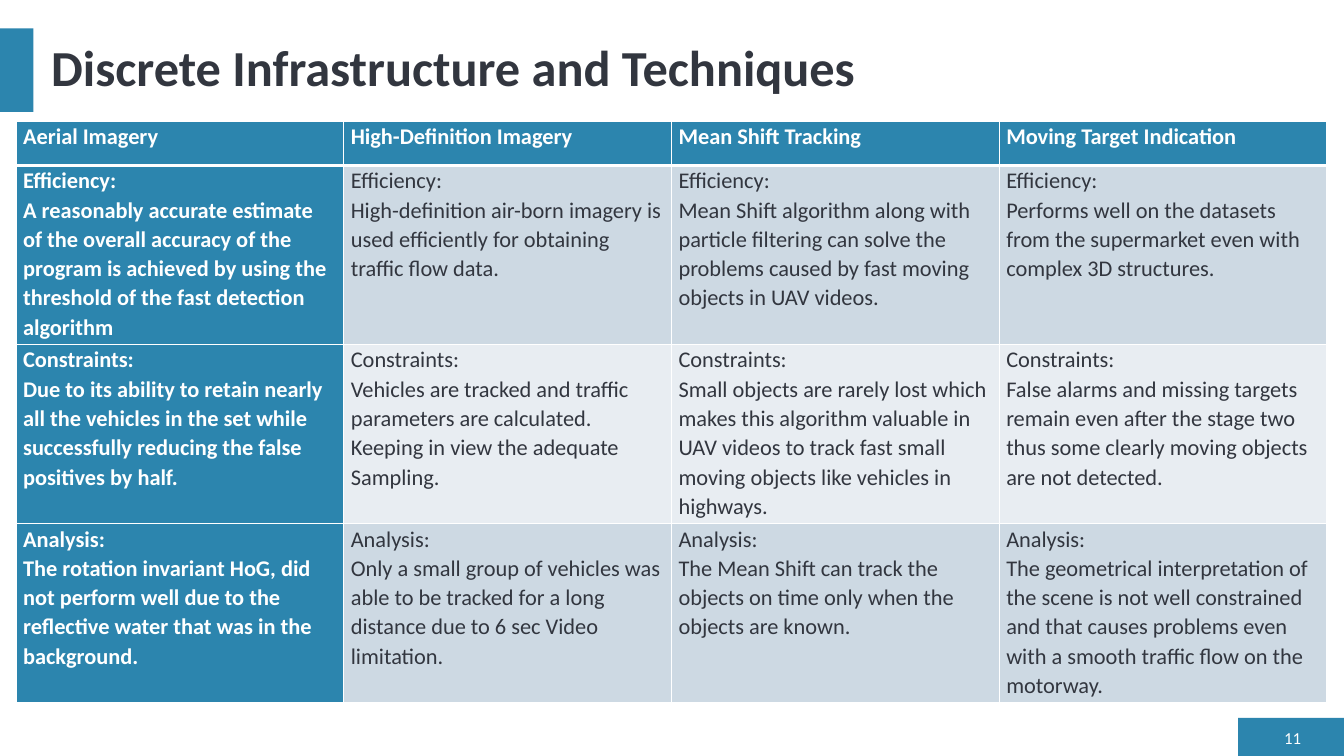
import pptx
import pptx.dml.color
import pptx.enum.shapes
import pptx.enum.text
import pptx.oxml.ns
import pptx.util
from lxml import etree

Pt = pptx.util.Pt
ALIGN = pptx.enum.text.PP_ALIGN
ANCHOR = pptx.enum.text.MSO_ANCHOR

FONT = "Calibri"
TEAL, DARK, WHITE = "2C85AE", "32363F", "FFFFFF"
BAND_FILLS = ["CDD9E3", "E8EDF2"]

TECHNIQUES = ["Aerial Imagery", "High-Definition Imagery", "Mean Shift Tracking",
              "Moving Target Indication"]
ASPECTS = {
    "Efficiency:": [
        "A reasonably accurate estimate of the overall accuracy of the program is achieved "
        "by using the threshold of the fast detection algorithm",
        "High-definition air-born imagery is used efficiently for obtaining traffic flow data.",
        "Mean Shift algorithm along with particle filtering can solve the problems caused by "
        "fast moving objects in UAV videos.",
        "Performs well on the datasets from the supermarket even with complex 3D structures.",
    ],
    "Constraints:": [
        "Due to its ability to retain nearly all the vehicles in the set while successfully "
        "reducing the false positives by half.",
        "Vehicles are tracked and traffic parameters are calculated. Keeping in view the "
        "adequate Sampling.",
        "Small objects are rarely lost which makes this algorithm valuable in UAV videos to "
        "track fast small moving objects like vehicles in highways.",
        "False alarms and missing targets remain even after the stage two thus some clearly "
        "moving objects are not detected.",
    ],
    "Analysis:": [
        "The rotation invariant HoG, did not perform well due to the reflective water that "
        "was in the background.",
        "Only a small group of vehicles was able to be tracked for a long distance due to "
        "6 sec Video limitation.",
        "The Mean Shift can track the objects on time only when the objects are known.",
        "The geometrical interpretation of the scene is not well constrained and that causes "
        "problems even with a smooth traffic flow on the motorway.",
    ],
}


def rgb(color):
    return pptx.dml.color.RGBColor.from_string(color)


def write_paragraphs(text_frame, texts, size, color, bold=False, spacing=1.0, align=ALIGN.LEFT):
    for index, text in enumerate(texts):
        paragraph = text_frame.add_paragraph() if index else text_frame.paragraphs[0]
        paragraph.alignment = align
        paragraph.line_spacing = spacing
        run = paragraph.add_run()
        run.text = text
        run.font.name = FONT
        run.font.size = Pt(size)
        run.font.bold = bold
        run.font.color.rgb = rgb(color)


def add_bar(slide, left, top, width, height):
    bar = slide.shapes.add_shape(pptx.enum.shapes.MSO_SHAPE.RECTANGLE,
                                 Pt(left), Pt(top), Pt(width), Pt(height))
    bar.shadow.inherit = False
    bar.fill.solid()
    bar.fill.fore_color.rgb = rgb(TEAL)
    bar.line.fill.background()


def add_text(slide, left, top, width, height, text, size, color, **style):
    box = slide.shapes.add_textbox(Pt(left), Pt(top), Pt(width), Pt(height))
    box.text_frame.word_wrap = True
    box.text_frame.vertical_anchor = ANCHOR.MIDDLE
    write_paragraphs(box.text_frame, [text], size, color, **style)


def set_borders(cell, widths):
    """Draw white borders; must run before the cell fill to keep the XML order."""
    properties = cell._tc.get_or_add_tcPr()
    for side, width in widths.items():
        line = etree.SubElement(properties, pptx.oxml.ns.qn(f"a:ln{side}"), w=str(Pt(width)))
        fill = etree.SubElement(line, pptx.oxml.ns.qn("a:solidFill"))
        etree.SubElement(fill, pptx.oxml.ns.qn("a:srgbClr"), val=WHITE)


def fill_cell(cell, texts, row, column):
    accented = row == 0 or column == 0
    set_borders(cell, {"L": 1, "R": 1, "T": 3 if row == 1 else 1, "B": 3 if row == 0 else 1})
    cell.fill.solid()
    cell.fill.fore_color.rgb = rgb(TEAL if accented else BAND_FILLS[(row - 1) % 2])
    cell.margin_left = cell.margin_right = Pt(5.04)
    cell.margin_top = cell.margin_bottom = Pt(0)
    write_paragraphs(cell.text_frame, texts, 16, WHITE if accented else DARK,
                     bold=accented, spacing=1.07)


def add_comparison_table(slide, left, top, column_width, header_height, row_height):
    rows = [[[name] for name in TECHNIQUES]]
    rows += [[[aspect, text] for text in texts] for aspect, texts in ASPECTS.items()]
    heights = [header_height] + [row_height] * len(ASPECTS)
    table = slide.shapes.add_table(len(rows), len(TECHNIQUES), Pt(left), Pt(top),
                                   Pt(column_width * len(TECHNIQUES)), Pt(sum(heights))).table
    for column in table.columns:
        column.width = Pt(column_width)
    for row, (cells, height) in enumerate(zip(rows, heights)):
        table.rows[row].height = Pt(height)
        for column, texts in enumerate(cells):
            fill_cell(table.cell(row, column), texts, row, column)


def main():
    presentation = pptx.Presentation()
    presentation.slide_width = Pt(960)
    presentation.slide_height = Pt(540)
    slide = presentation.slides.add_slide(presentation.slide_layouts[6])

    add_bar(slide, 884.4, 512.7, 75.6, 27.3)
    add_bar(slide, 0, 20.2, 23.8, 59.8)
    add_text(slide, 29.5, 20.2, 907, 59.8, "Discrete Infrastructure and Techniques",
             36, DARK, bold=True, spacing=0.9)
    add_text(slide, 907, 518.4, 29.5, 16.6, "11", 12, WHITE, align=ALIGN.RIGHT)
    add_comparison_table(slide, 11.5, 86.7, 234.1, 31.5, 128)

    presentation.save("out.pptx")


if __name__ == "__main__":
    main()
